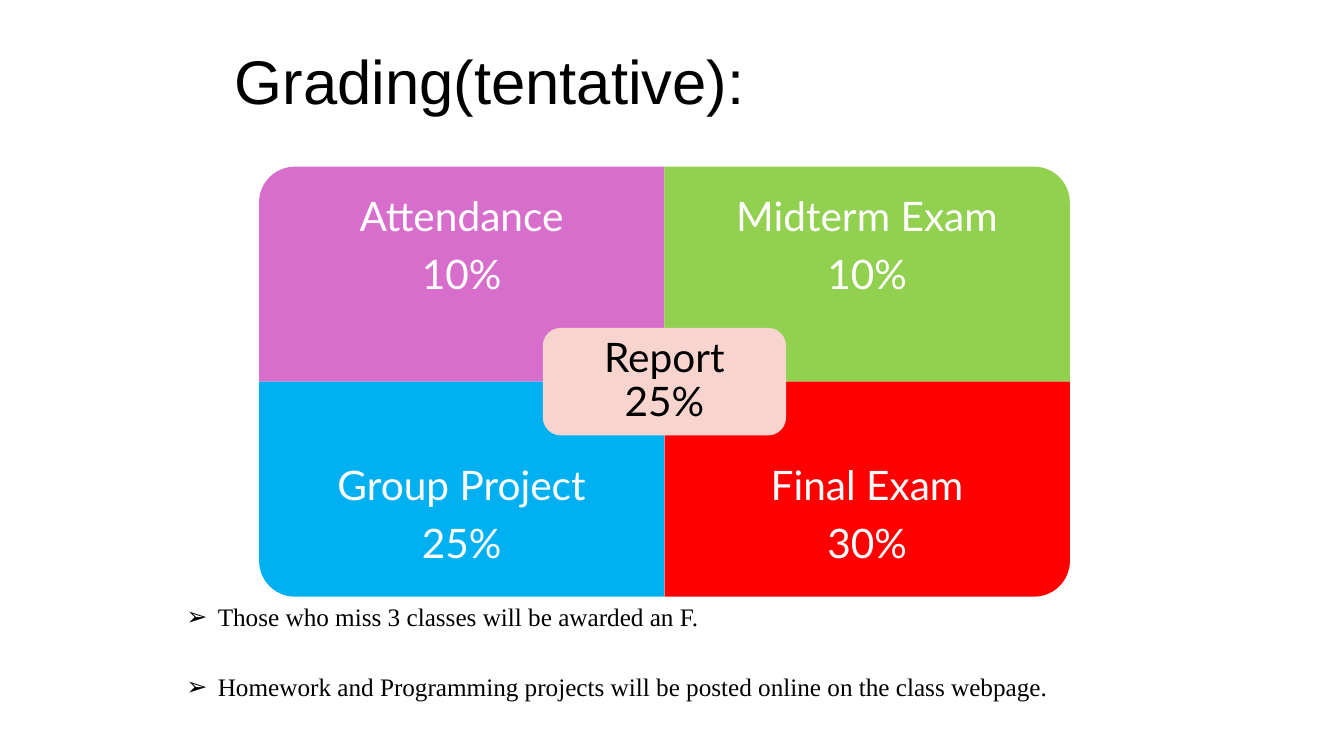
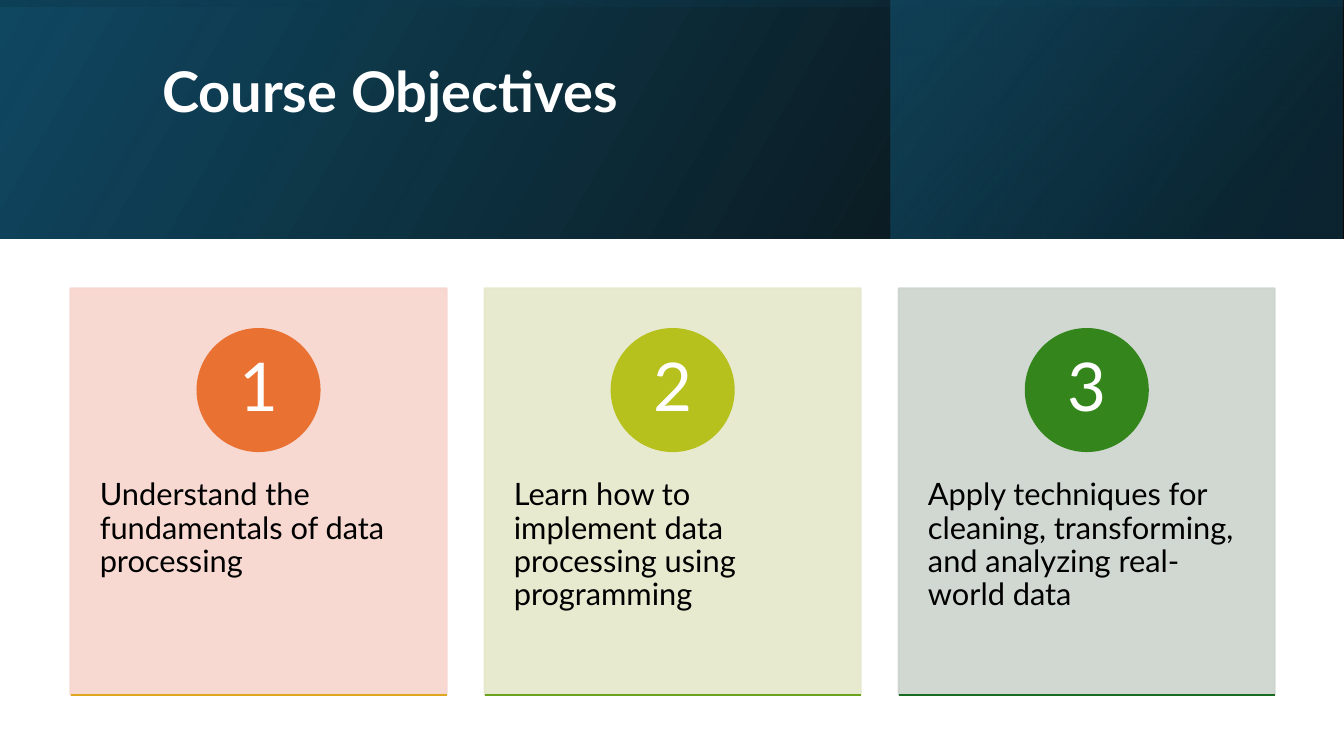
from lxml import etree
from pptx import Presentation
from pptx.dml.color import RGBColor
from pptx.enum.shapes import MSO_CONNECTOR, MSO_SHAPE
from pptx.enum.text import MSO_ANCHOR, PP_ALIGN
from pptx.oxml.ns import qn
from pptx.util import Pt

RECTANGLE, ELLIPSE = MSO_SHAPE.RECTANGLE, MSO_SHAPE.OVAL
ROUNDED, ONE_ROUND = MSO_SHAPE.ROUNDED_RECTANGLE, MSO_SHAPE.ROUND_1_RECTANGLE
STRAIGHT = MSO_CONNECTOR.STRAIGHT
TOP, MIDDLE = MSO_ANCHOR.TOP, MSO_ANCHOR.MIDDLE
LEFT, CENTER = PP_ALIGN.LEFT, PP_ALIGN.CENTER

# Shared style
BLACK = RGBColor(0x00, 0x00, 0x00)
WHITE = RGBColor(0xFF, 0xFF, 0xFF)
ORCHID = RGBColor(0xD8, 0x6E, 0xCC)
GREEN = RGBColor(0x92, 0xD0, 0x50)
BLUE = RGBColor(0x00, 0xB0, 0xF0)
RED = RGBColor(0xFF, 0x00, 0x00)
BLUSH = RGBColor(0xF7, 0xD5, 0xCE)
PALE_LIME = RGBColor(0xE5, 0xE8, 0xCA)
PALE_SAGE = RGBColor(0xCC, 0xD4, 0xCD)
ORANGE = RGBColor(0xE9, 0x71, 0x32)
LIME = RGBColor(0xB7, 0xC1, 0x1E)
LEAF = RGBColor(0x34, 0x86, 0x1C)
AMBER = RGBColor(0xE0, 0xA6, 0x1D)
MOSS = RGBColor(0x6B, 0xA3, 0x1D)
FOREST = RGBColor(0x19, 0x6B, 0x24)
NAVY = RGBColor(0x10, 0x48, 0x62)
DEEP_TEAL = RGBColor(0x0B, 0x30, 0x41)
TEAL = RGBColor(0x15, 0x60, 0x82)
SANS, TITLE_FONT, SERIF = "Lato", "Arial", "Times New Roman"
SLIDE_WIDTH, SLIDE_HEIGHT = 960, 540
DEFAULT_INSETS = (7.2, 3.6, 7.2, 3.6)

# Grading content: lines, colour, column, row, rotation of the rounded corner
GRADING_TITLE = "Grading(tentative):"
GRADES = [
    (["Attendance", "10%"], ORCHID, 0, 0, 270),
    (["Midterm Exam", "10%"], GREEN, 1, 0, 0),
    (["Group Project", "25%"], BLUE, 0, 1, 180),
    (["Final Exam", "30%"], RED, 1, 1, 90),
]
CENTER_GRADE = "Report 25%"
# Text, top, width
NOTES = [
    ("Those who miss 3 classes will be awarded an F.", 426.24, 480.24),
    ("Homework and Programming projects will be posted online on the class webpage.",
     475.92, 756.72),
]

# Objectives content: text, card colour, circle colour, rule colour
OBJECTIVES_TITLE = "Course Objectives"
OBJECTIVES = [
    ("Understand the fundamentals of data processing", BLUSH, ORANGE, AMBER),
    ("Learn how to implement data processing using programming",
     PALE_LIME, LIME, MOSS),
    ("Apply techniques for cleaning, transforming, and analyzing real-world data",
     PALE_SAGE, LEAF, FOREST),
]
BAND_HEIGHT = 170.64
# Left, width, rotation, angle, stops of (position, colour, opacity)
BAND_LAYERS = [
    (0, SLIDE_WIDTH, 0, 330, [(0, BLACK, 96), (100, NAVY, 100)]),
    (636.48, 322.56, 0, 320, [(19, DEEP_TEAL, 68), (100, TEAL, 48)]),
    (0, SLIDE_WIDTH, 270, 350, [(23, NAVY, 16), (99, BLACK, 45)]),
]


def set_opacity(element, percent):
    for color in element.iter(qn("a:srgbClr")):
        etree.SubElement(color, qn("a:alpha"), val=str(percent * 1000))


def add_box(slide, kind, left, top, width, height, rotation=0):
    """Add a bare shape that covers the given area after its rotation."""
    if rotation % 180:
        left, top = left + (width - height) / 2, top + (height - width) / 2
        width, height = height, width
    shape = slide.shapes.add_shape(kind, Pt(left), Pt(top), Pt(width), Pt(height))
    shape.rotation = rotation
    shape.shadow.inherit = False
    shape.line.fill.background()
    return shape


def add_filled(slide, kind, area, color, rotation=0, outlined=False, opacity=100):
    shape = add_box(slide, kind, *area, rotation)
    shape.fill.solid()
    shape.fill.fore_color.rgb = color
    if outlined:
        shape.line.color.rgb = color
        shape.line.width = Pt(1.5)
    if opacity < 100:
        set_opacity(shape._element.spPr, opacity)
    return shape


def add_text(slide, area, lines, size, color, font=SANS, align=LEFT, anchor=TOP,
             insets=DEFAULT_INSETS, spacing=1, after=0, bold=False):
    box = slide.shapes.add_textbox(*map(Pt, area))
    frame = box.text_frame
    frame.word_wrap = True
    frame.vertical_anchor = anchor
    (frame.margin_left, frame.margin_top,
     frame.margin_right, frame.margin_bottom) = map(Pt, insets)
    for index, line in enumerate(lines):
        paragraph = frame.add_paragraph() if index else frame.paragraphs[0]
        paragraph.alignment = align
        paragraph.line_spacing = spacing
        paragraph.space_after = Pt(after)
        run = paragraph.add_run()
        run.text = line
        run.font.name = font
        run.font.size = Pt(size)
        run.font.bold = bold
        run.font.color.rgb = color
    return box


def add_bullet(paragraph, indent):
    properties = paragraph._p.get_or_add_pPr()
    properties.set("marL", str(Pt(indent)))
    properties.set("indent", str(-Pt(indent)))
    etree.SubElement(properties, qn("a:buFont"), typeface=TITLE_FONT)
    etree.SubElement(properties, qn("a:buChar"), char="➢")


def add_band_layer(slide, left, width, rotation, angle, stops):
    shape = add_box(slide, RECTANGLE, left, 0, width, BAND_HEIGHT, rotation)
    shape._element.spPr.find(qn("a:xfrm")).set("flipH", "1")
    shape.fill.gradient()
    shape.fill.gradient_angle = 360 - angle
    elements = shape._element.spPr.iter(qn("a:gs"))
    for stop, element, values in zip(shape.fill.gradient_stops, elements, stops):
        position, color, opacity = values
        stop.position = position / 100
        stop.color.rgb = color
        if opacity < 100:
            set_opacity(element, opacity)


def add_rule(slide, left, top, width, color):
    rule = slide.shapes.add_connector(
        STRAIGHT, Pt(left), Pt(top), Pt(left + width), Pt(top))
    rule.line.color.rgb = color
    rule.line.width = Pt(1.5)
    etree.SubElement(rule._element.spPr, qn("a:effectLst"))


def build_grading(slide):
    left, top, width, height = 185.04, 119, 289.6, 153.6
    text_height = height * 0.75
    style = {"align": CENTER, "anchor": MIDDLE, "spacing": 0.9, "after": 10.15}

    # Four quadrants, text kept to the outer three quarters
    for lines, color, column, row, rotation in GRADES:
        x, y = left + column * width, top + row * height
        add_filled(slide, ONE_ROUND, (x, y, width, height), color, rotation)
        text_top = y + row * (height - text_height)
        add_text(slide, (x, text_top, width, text_height), lines, 29, WHITE,
                 insets=(16.24,) * 4, **style)

    # Centre label
    label_width, label_height, pad = width * 0.6, height / 2, 3.75
    x, y = left + width - label_width / 2, top + height - label_height / 2
    add_filled(slide, ROUNDED, (x, y, label_width, label_height), BLUSH)
    add_text(slide, (x + pad, y + pad, label_width - 2 * pad, label_height - 2 * pad),
             [CENTER_GRADE], 29, BLACK, insets=(10, 8.7, 10, 8.7), **style)

    # Title and notes
    add_text(slide, (160.56, 27.36, 512.64, 60.48), [GRADING_TITLE], 44, BLACK,
             TITLE_FONT)
    for text, note_top, note_width in NOTES:
        note = add_text(slide, (126, note_top, note_width, 28.8), [text], 18, BLACK,
                        SERIF)
        add_bullet(note.text_frame.paragraphs[0], 22.5)


def build_objectives(slide):
    # Header band and title
    for layer in BAND_LAYERS:
        add_band_layer(slide, *layer)
    add_text(slide, (108.72, 27.36, 765.36, 123.84), [OBJECTIVES_TITLE], 40, WHITE,
             anchor=MIDDLE, insets=(7.2, 3.6, 7.2, 46.8), spacing=0.9, bold=True)

    # Numbered cards
    left, top, width, height, pitch = 50.4, 206, 268.56, 290.4, 295.8
    circle, number_box = 87.12, 61.6
    circle_top = top + height / 10
    number_gap = (circle - number_box) / 2
    for index, (text, card_color, circle_color, rule_color) in enumerate(OBJECTIVES):
        x = left + index * pitch
        circle_left = x + (width - circle) / 2
        add_filled(slide, RECTANGLE, (x, top, width, height), card_color,
                   outlined=True, opacity=90)
        add_text(slide, (x, top + height * 0.38, width, height * 0.6), [text], 22,
                 BLACK, insets=(20.9, 25.9, 20.9, 25.9), spacing=0.9, after=7.7)
        add_filled(slide, ELLIPSE, (circle_left, circle_top, circle, circle),
                   circle_color, outlined=True)
        add_text(slide, (circle_left + number_gap, circle_top + number_gap,
                         number_box, number_box),
                 [str(index + 1)], 48, WHITE, align=CENTER, anchor=MIDDLE,
                 insets=(6.8, 0.9, 6.8, 0.9), spacing=0.9, after=16.8)
        add_rule(slide, x, top + height, width, rule_color)


def main():
    presentation = Presentation()
    presentation.slide_width = Pt(SLIDE_WIDTH)
    presentation.slide_height = Pt(SLIDE_HEIGHT)
    blank = presentation.slide_layouts[6]
    for build in (build_grading, build_objectives):
        build(presentation.slides.add_slide(blank))
    presentation.save("out.pptx")


if __name__ == "__main__":
    main()
